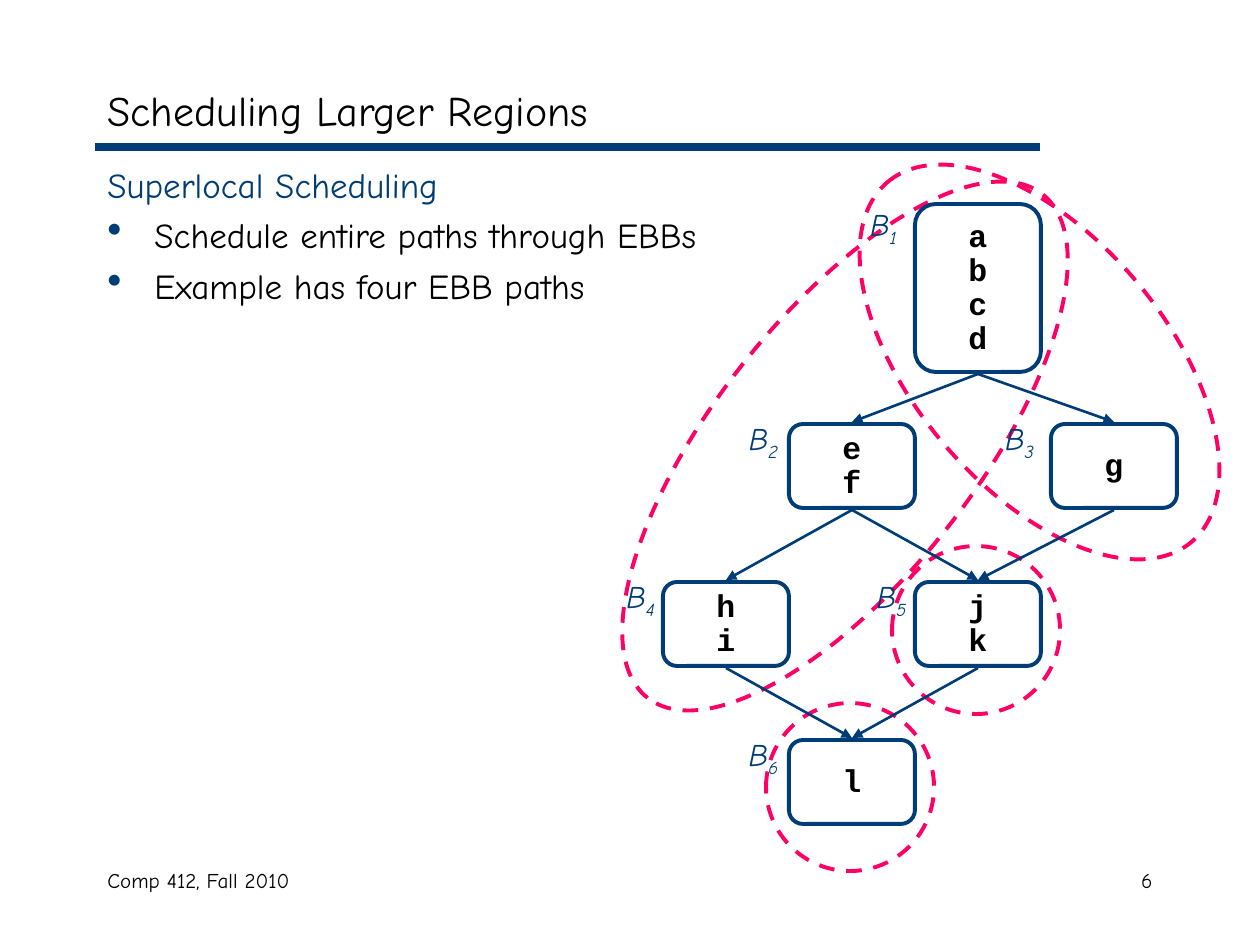
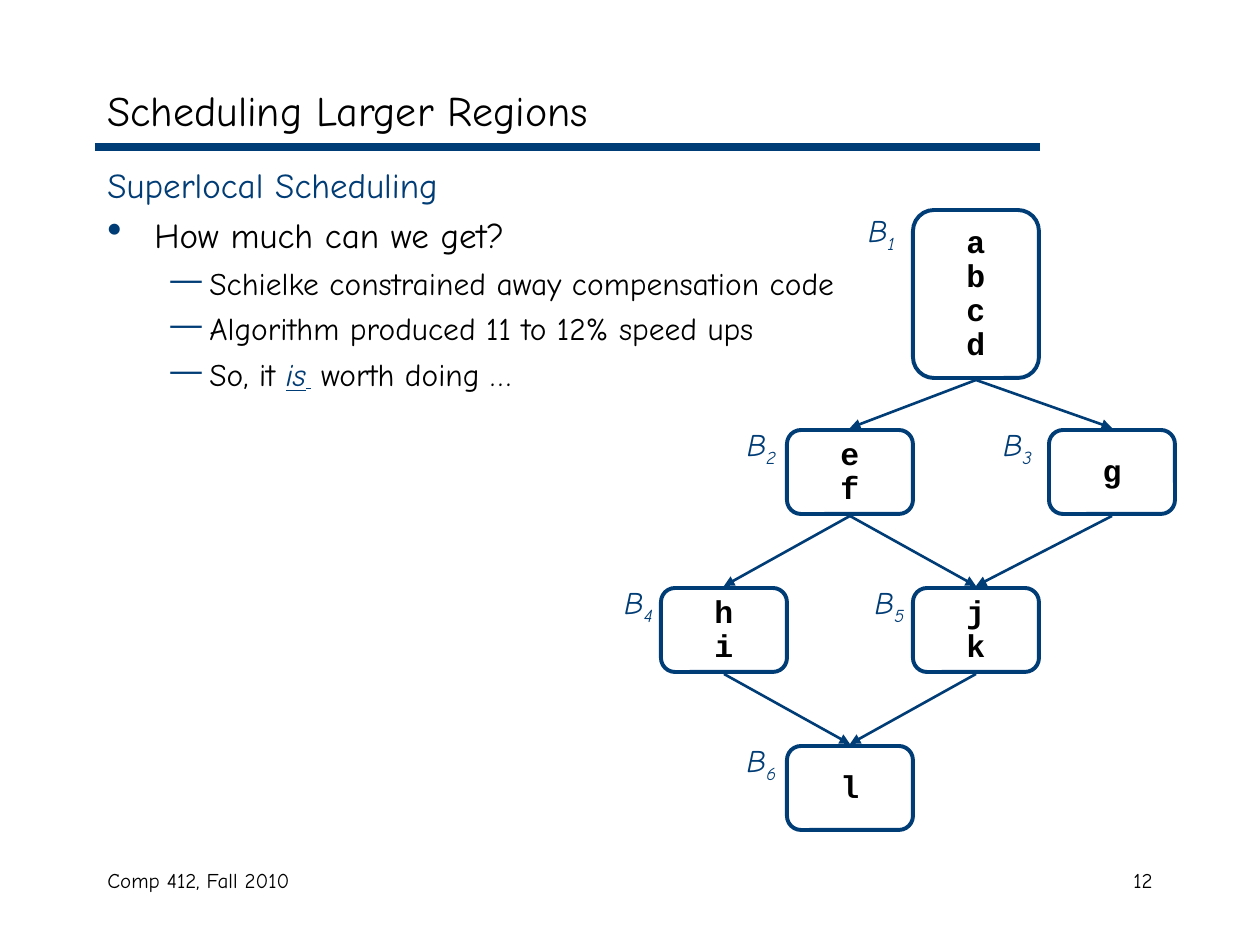
from lxml.etree import SubElement
from pptx import Presentation
from pptx.dml.color import RGBColor
from pptx.enum.dml import MSO_LINE
from pptx.enum.shapes import MSO_CONNECTOR, MSO_SHAPE
from pptx.enum.text import MSO_ANCHOR, PP_ALIGN
from pptx.oxml.ns import qn
from pptx.util import Pt

NAVY = RGBColor(0x00, 0x3C, 0x75)
PINK = RGBColor(0xFF, 0x00, 0x65)
BLACK = RGBColor(0x00, 0x00, 0x00)
TEXT_FONT = "Comic Neue"
CODE_FONT = "Courier New"
EMU_PER_PX = 914400 / 126

TITLE = "Scheduling Larger Regions"
FOOTER = "Comp 412, Fall 2010"

# Body paragraphs: (style, runs); each run is (text, format changes)
BODY_STYLES = {
    "heading": dict(size=20, color=NAVY, before=0, left=47, hanging=47),
    "bullet": dict(size=20, before=5, left=47, hanging=47, bullet="•", bullet_percent=120),
    "dash": dict(size=18, before=4.5, left=102, hanging=39, bullet="—", bullet_percent=100),
}
HEADING = ("heading", [("Superlocal Scheduling", {})])
EMPHASIS = dict(color=NAVY, italic=True, underline=True)

SLIDES = [
    {
        "number": 6,
        "body": [
            HEADING,
            ("bullet", [("Schedule entire paths through EBBs", {})]),
            ("bullet", [("Example has four EBB paths", {})]),
        ],
        "diagram_origin": (663, 204),
        # left, top, width, height, rotation
        "path_outlines": [
            (525, 315, 640, 262, 308.1),
            (804, 236, 471, 252, 49.8),
            (892, 546, 168, 168, 0),
            (766, 703, 168, 168, 0),
        ],
    },
    {
        "number": 12,
        "body": [
            HEADING,
            ("bullet", [("How much can we get?", {})]),
            ("dash", [("Schielke constrained away compensation code", {})]),
            ("dash", [("Algorithm produced 11 to 12% speed ups", {})]),
            ("dash", [
                ("So, it ", {}),
                ("is", EMPHASIS),
                (" ", dict(EMPHASIS, size=8)),
                (" ", dict(color=NAVY)),
                ("worth doing …", {}),
            ]),
        ],
        "diagram_origin": (661, 210),
        "path_outlines": [],
    },
]

BLOCK_WIDTH = 126
LABEL_WIDTH, LABEL_HEIGHT = 63, 56
ARROW_GAP = 2
ROW_TOPS = [0, 220, 378, 536]
ROW_HEIGHTS = [168, 84, 84, 84]

# Block: (left in diagram, row, operations, label offset from the block)
BLOCKS = {
    "1": (252, 0, "abcd", (-63, -5)),
    "2": (126, 1, "ef", (-57, -11)),
    "3": (388, 1, "g", (-63, -11)),
    "4": (0, 2, "hi", (-54, -11)),
    "5": (252, 2, "jk", (-55, -11)),
    "6": (126, 3, "l", (-57, -11)),
}
EDGES = ["12", "13", "24", "25", "35", "56", "46"]


def px(length):
    return round(length * EMU_PER_PX)


def add_run(paragraph, text, size=18, font=TEXT_FONT, color=BLACK, bold=False,
            italic=False, underline=False, subscript=False):
    run = paragraph.add_run()
    run.text = text
    run.font.size = Pt(size)
    run.font.name = font
    run.font.color.rgb = color
    run.font.bold = bold
    run.font.italic = italic
    run.font.underline = underline
    if subscript:
        run._r.get_or_add_rPr().set("baseline", "-25000")


def next_paragraph(text_frame):
    """Return the first paragraph while it is empty, then new ones."""
    first = text_frame.paragraphs[0]
    return text_frame.add_paragraph() if first.runs else first


def add_text_box(slide, left, top, width, height, anchor=MSO_ANCHOR.TOP):
    text_frame = slide.shapes.add_textbox(px(left), px(top), px(width), px(height)).text_frame
    text_frame.word_wrap = True
    text_frame.vertical_anchor = anchor
    return text_frame


def add_line(slide, start, end, width, arrow=False):
    line = slide.shapes.add_connector(
        MSO_CONNECTOR.STRAIGHT, *(px(value) for value in (*start, *end)))
    line.line.color.rgb = NAVY
    line.line.width = Pt(width)
    if arrow:
        SubElement(line.line._get_or_add_ln(), qn("a:tailEnd"), type="triangle")
    SubElement(line._element.spPr, qn("a:effectLst"))


def add_outline(slide, preset, left, top, width, height, color):
    shape = slide.shapes.add_shape(preset, px(left), px(top), px(width), px(height))
    shape.shadow.inherit = False
    shape.fill.background()
    shape.line.color.rgb = color
    shape.line.width = Pt(2.25)
    return shape


def add_frame(slide, number):
    """Add the title, rule, footer and page number that every slide has."""
    add_line(slide, (95, 147), (1040, 147), 4.5)
    title = add_text_box(slide, 95, 73, 1071, 73, MSO_ANCHOR.MIDDLE)
    add_run(title.paragraphs[0], TITLE, size=24)
    footer = add_text_box(slide, 95, 861, 399, 63)
    add_run(footer.paragraphs[0], FOOTER, size=12)
    page = add_text_box(slide, 903, 861, 262, 63).paragraphs[0]
    page.alignment = PP_ALIGN.RIGHT
    add_run(page, str(number), size=12)


def format_body_paragraph(paragraph, before, left, hanging, bullet=None, bullet_percent=100):
    paragraph.space_before = Pt(before)
    properties = paragraph._p.get_or_add_pPr()
    properties.set("marL", str(px(left)))
    properties.set("indent", str(-px(hanging)))
    if bullet:
        bullet_color = SubElement(properties, qn("a:buClr"))
        SubElement(bullet_color, qn("a:srgbClr"), val=str(NAVY))
        SubElement(properties, qn("a:buSzPct"), val=str(bullet_percent * 1000))
        SubElement(properties, qn("a:buChar"), char=bullet)


def add_body(slide, body):
    text_frame = add_text_box(slide, 95, 157, 1071, 683)
    for style_name, runs in body:
        layout = dict(BODY_STYLES[style_name])
        run_format = {"size": layout.pop("size"), "color": layout.pop("color", BLACK)}
        paragraph = next_paragraph(text_frame)
        format_body_paragraph(paragraph, **layout)
        for text, changes in runs:
            add_run(paragraph, text, **{**run_format, **changes})


def add_path_outlines(slide, outlines):
    for *box, rotation in outlines:
        ellipse = add_outline(slide, MSO_SHAPE.OVAL, *box, PINK)
        ellipse.line.dash_style = MSO_LINE.DASH
        ellipse.rotation = rotation


def add_block(slide, left, top, height, operations):
    block = add_outline(slide, MSO_SHAPE.ROUNDED_RECTANGLE, left, top, BLOCK_WIDTH, height, NAVY)
    block.adjustments[0] = 1 / 6
    text_frame = block.text_frame
    text_frame.word_wrap = False
    text_frame.vertical_anchor = MSO_ANCHOR.MIDDLE
    for operation in operations:
        paragraph = next_paragraph(text_frame)
        paragraph.alignment = PP_ALIGN.CENTER
        paragraph.line_spacing = 0.9
        add_run(paragraph, operation, font=CODE_FONT, bold=True)


def add_block_label(slide, left, top, number):
    paragraph = add_text_box(slide, left, top, LABEL_WIDTH, LABEL_HEIGHT).paragraphs[0]
    paragraph.alignment = PP_ALIGN.CENTER
    add_run(paragraph, "B", color=NAVY, italic=True)
    add_run(paragraph, number, color=NAVY, italic=True, subscript=True)


def add_flow_graph(slide, origin):
    origin_x, origin_y = origin
    entries, exits = {}, {}
    for number, (offset, row, operations, (label_x, label_y)) in BLOCKS.items():
        left, top, height = origin_x + offset, origin_y + ROW_TOPS[row], ROW_HEIGHTS[row]
        add_block(slide, left, top, height, operations)
        add_block_label(slide, left + label_x, top + label_y, number)
        middle = left + BLOCK_WIDTH // 2
        entries[number] = (middle, top - ARROW_GAP)
        exits[number] = (middle, top + height + ARROW_GAP)
    for source, target in EDGES:
        add_line(slide, exits[source], entries[target], 1.5, arrow=True)


def main():
    presentation = Presentation()
    presentation.slide_width, presentation.slide_height = px(1260), px(945)
    for content in SLIDES:
        slide = presentation.slides.add_slide(presentation.slide_layouts[6])
        add_frame(slide, content["number"])
        add_body(slide, content["body"])
        add_path_outlines(slide, content["path_outlines"])
        add_flow_graph(slide, content["diagram_origin"])
    presentation.save("out.pptx")


if __name__ == "__main__":
    main()
